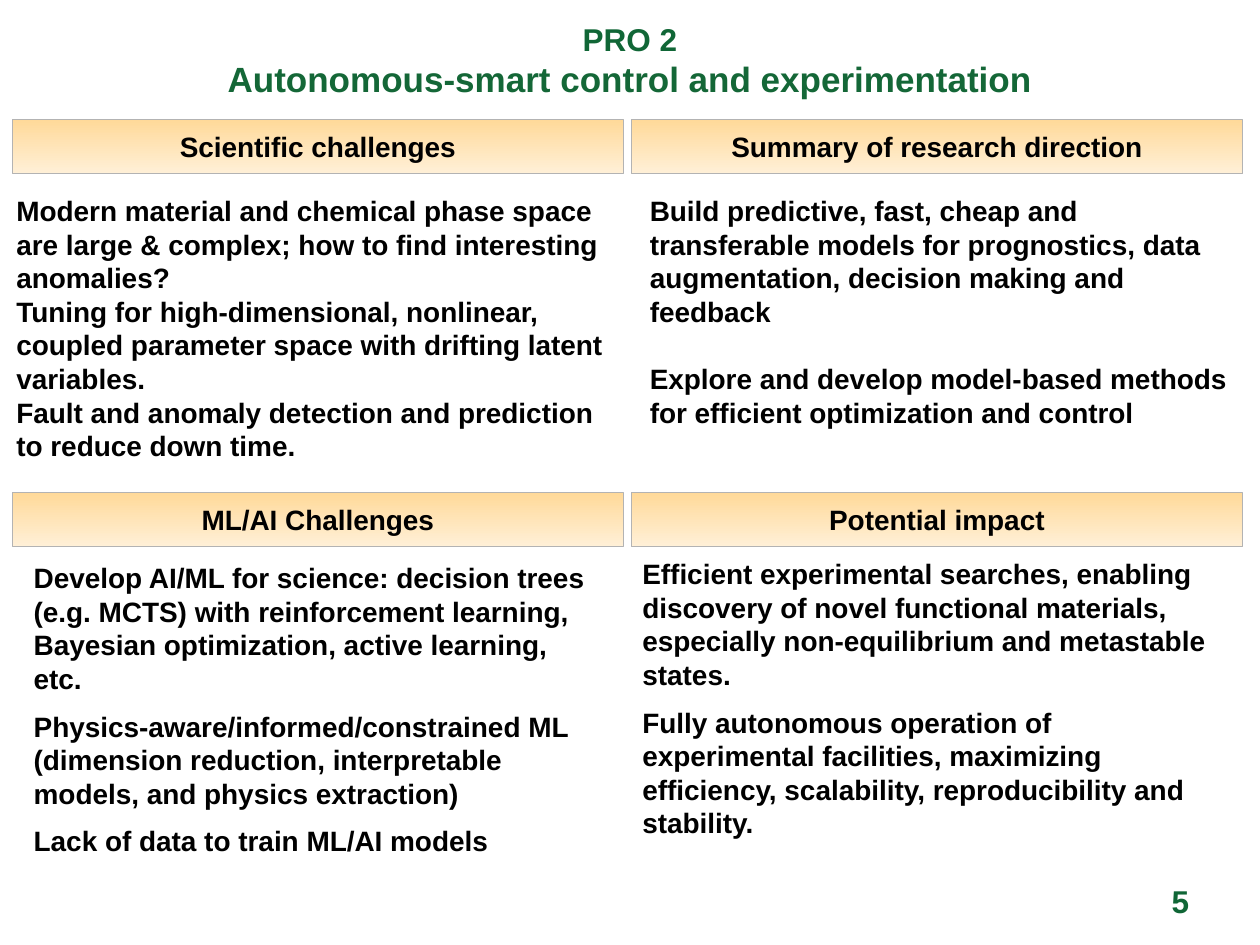
from dataclasses import dataclass

from pptx import Presentation
from pptx.dml.color import RGBColor
from pptx.enum.shapes import MSO_SHAPE
from pptx.enum.text import MSO_ANCHOR, PP_ALIGN
from pptx.util import Cm, Pt


@dataclass(frozen=True)
class Theme:
    font: str = "Arial"
    ink: RGBColor = RGBColor(0x00, 0x00, 0x00)
    green: RGBColor = RGBColor(0x10, 0x66, 0x36)
    title_green: RGBColor = RGBColor(0x14, 0x67, 0x37)
    band_top: RGBColor = RGBColor(0xFF, 0xD9, 0x99)
    band_bottom: RGBColor = RGBColor(0xFF, 0xF0, 0xD7)
    band_edge: RGBColor = RGBColor(0xB3, 0xB3, 0xB3)
    body: int = 16
    label: int = 18
    title: int = 20


THEME = Theme()

# Heading bands: two columns by two rows
COLUMNS = (0.25, 12.73)
ROWS = (2.41, 9.93)
BAND_WIDTH, BAND_HEIGHT = 12.32, 1.09

# Heading, column, row, text box (left, top, width, height), gap in points, paragraphs
QUADRANTS = [
    ("Scientific challenges", 0, 0, (0.08, 3.78, 12.78, 5.74), 0, [
        "Modern material and chemical phase space are large & complex; "
        "how to find interesting anomalies?",
        "Tuning for high-dimensional, nonlinear, coupled parameter space "
        "with drifting latent variables.",
        "Fault and anomaly detection and prediction to reduce down time.",
    ]),
    ("Summary of research direction", 1, 0, (12.85, 3.78, 12.22, 5.74), 19.2, [
        "Build predictive, fast, cheap and transferable models for prognostics, "
        "data augmentation, decision making and feedback",
        "Explore and develop model-based methods for efficient optimization and control",
    ]),
    ("ML/AI Challenges", 0, 1, (0.43, 11.18, 11.86, 3.68), 8, [
        "Develop AI/ML for science: decision trees (e.g. MCTS) with reinforcement "
        "learning, Bayesian optimization, active learning, etc.",
        "Physics-aware/informed/constrained ML (dimension reduction, "
        "interpretable models, and physics extraction)",
        "Lack of data to train ML/AI models",
    ]),
    ("Potential impact", 1, 1, (12.7, 11.1, 12.27, 5.31), 8, [
        "Efficient experimental searches, enabling discovery of novel functional "
        "materials, especially non-equilibrium and metastable states.",
        "Fully autonomous operation of experimental facilities, maximizing "
        "efficiency, scalability, reproducibility and stability.",
    ]),
]


def style(font, size, color):
    font.name = THEME.font
    font.size = Pt(size)
    font.bold = True
    font.color.rgb = color


def add_band(slide, heading, left, top):
    band = slide.shapes.add_shape(
        MSO_SHAPE.RECTANGLE, Cm(left), Cm(top), Cm(BAND_WIDTH), Cm(BAND_HEIGHT))
    band.shadow.inherit = False
    band.fill.gradient()
    band.fill.gradient_angle = 270
    for stop, color in zip(band.fill.gradient_stops, (THEME.band_top, THEME.band_bottom)):
        stop.color.rgb = color
    band.line.color.rgb = THEME.band_edge
    band.line.width = Pt(0.75)
    frame = band.text_frame
    frame.text = heading
    frame.vertical_anchor = MSO_ANCHOR.MIDDLE
    frame.paragraphs[0].alignment = PP_ALIGN.CENTER
    style(frame.paragraphs[0].runs[0].font, THEME.body, THEME.ink)


def add_text(slide, box, paragraphs, size, color, gap=0):
    frame = slide.shapes.add_textbox(*map(Cm, box)).text_frame
    frame.word_wrap = True
    frame.text = "\n".join(paragraphs)
    for index, paragraph in enumerate(frame.paragraphs):
        if index and gap:
            paragraph.space_before = Pt(gap)
        for run in paragraph.runs:
            style(run.font, size, color)
    return frame


def add_title(slide):
    frame = add_text(slide, (0, 0, 25.4, 2.41),
                     ["PRO 2\vAutonomous-smart control and experimentation"],
                     THEME.label, THEME.green)
    frame.vertical_anchor = MSO_ANCHOR.MIDDLE
    heading = frame.paragraphs[0]
    heading.alignment = PP_ALIGN.CENTER
    style(heading.runs[1].font, THEME.title, THEME.title_green)


def main():
    deck = Presentation()
    deck.slide_width, deck.slide_height = Cm(25.4), Cm(19.05)
    slide = deck.slides.add_slide(deck.slide_layouts[6])

    add_title(slide)

    # Four quadrants
    for heading, column, row, box, gap, paragraphs in QUADRANTS:
        add_band(slide, heading, COLUMNS[column], ROWS[row])
        add_text(slide, box, paragraphs, THEME.body, THEME.ink, gap)

    # Page number
    add_text(slide, (23.37, 17.65, 1.07, 1.02), ["5"], THEME.label, THEME.green)

    deck.save("out.pptx")


if __name__ == "__main__":
    main()
